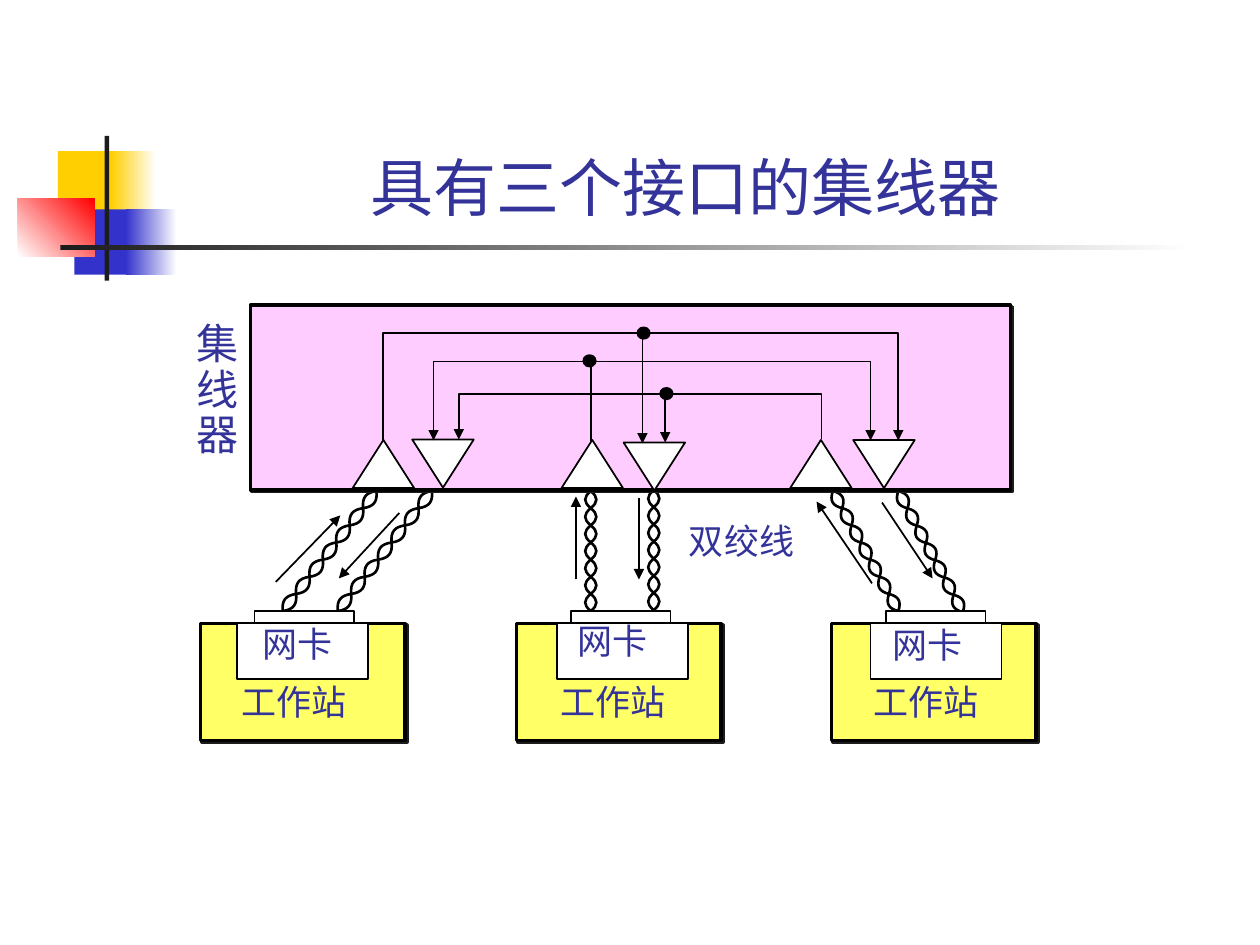
from math import hypot

from lxml.etree import SubElement
from pptx import Presentation
from pptx.dml.color import RGBColor
from pptx.enum.shapes import MSO_CONNECTOR, MSO_SHAPE as Preset
from pptx.enum.text import MSO_ANCHOR as Anchor, PP_ALIGN as Align
from pptx.oxml.ns import qn
from pptx.util import Cm, Pt

BLACK = RGBColor(0x00, 0x00, 0x00)
WHITE = RGBColor(0xFF, 0xFF, 0xFF)
INK = RGBColor(0x1C, 0x1C, 0x1C)
YELLOW = RGBColor(0xFF, 0xCF, 0x01)
BLUE = RGBColor(0x33, 0x33, 0xCC)
RED = RGBColor(0xFF, 0x00, 0x00)
TEXT_BLUE = RGBColor(0x33, 0x33, 0x99)
HUB_PINK = RGBColor(0xFF, 0xCC, 0xFF)
STATION_YELLOW = RGBColor(0xFF, 0xFF, 0x66)

presentation = Presentation()
presentation.slide_width, presentation.slide_height = Cm(25.4), Cm(19.05)
slide = presentation.slides.add_slide(presentation.slide_layouts[6])
shapes = slide.shapes


def add_preset(preset, box, fill, line_width=None, end_fill=None, angle=0, drop_shadow=False):
    """Add a shape; end_fill makes a gradient, drop_shadow a hard offset edge."""
    shape = shapes.add_shape(preset, *map(Cm, box))
    if end_fill is None:
        shape.fill.solid()
        shape.fill.fore_color.rgb = fill
    else:
        shape.fill.gradient()
        shape.fill.gradient_angle = angle
        for stop, color in zip(shape.fill.gradient_stops, (fill, end_fill)):
            stop.color.rgb = color
    if line_width is None:
        shape.line.fill.background()
    else:
        shape.line.color.rgb = BLACK
        shape.line.width = Pt(line_width)
    shape.shadow.inherit = False
    if drop_shadow:
        effects = shape.element.spPr.find(qn("a:effectLst"))
        shadow = SubElement(effects, qn("a:outerShdw"), dist=str(Pt(1.4)), dir="2700000", algn="ctr", rotWithShape="0")
        SubElement(shadow, qn("a:srgbClr"), val=str(INK))
    return shape


def add_text(text, box, size=20, font="Times New Roman", align=Align.LEFT,
             anchor=Anchor.TOP, wrap=False, line_spacing=1.0):
    frame = shapes.add_textbox(*map(Cm, box)).text_frame
    frame.word_wrap = wrap
    frame.vertical_anchor = anchor
    frame.text = text
    for paragraph in frame.paragraphs:
        paragraph.alignment = align
        paragraph.line_spacing = line_spacing
        paragraph.font.size = Pt(size)
        paragraph.font.name = font
        paragraph.font.color.rgb = TEXT_BLUE


# Corner decoration and title
for box, fill, end_fill, angle in [
    ((1.17, 3.05, 1.22, 1.32), YELLOW, None, 0),
    ((2.24, 3.05, 0.91, 1.32), YELLOW, WHITE, 0),
    ((1.5, 4.22, 1.17, 1.32), BLUE, None, 0),
    ((2.54, 4.22, 1.02, 1.32), BLUE, WHITE, 0),
    ((0.36, 4.01, 1.55, 1.17), WHITE, RED, 45),
    ((2.11, 2.74, 0.09, 2.92), INK, None, 0),
    ((1.22, 4.94, 22.86, 0.1), INK, WHITE, 0),
]:
    add_preset(Preset.RECTANGLE, box, fill, end_fill=end_fill, angle=angle)

add_text("具有三个接口的集线器", (3, 0.58, 21.64, 4.06), size=36, font="Arial",
         align=Align.CENTER, anchor=Anchor.BOTTOM, wrap=True)

# Twisted pairs: two opposite waves along each cable, one Bezier curve per half twist
HALF_TWISTS, CONTROL_HEIGHT = 7, 0.15
wires = []
for (x1, y1), (x2, y2) in [
    ((5.7, 12.32), (7.59, 9.9)),
    ((6.81, 12.32), (8.71, 9.9)),
    ((11.91, 12.32), (11.91, 9.9)),
    ((13.18, 12.3), (13.18, 9.88)),
    ((18.11, 12.32), (16.79, 9.9)),
    ((19.41, 12.34), (18.11, 9.9)),
]:
    length = hypot(x2 - x1, y2 - y1)
    for side in (-1, 1):
        points = []
        for twist in range(HALF_TWISTS):
            height = side * (-1) ** twist * CONTROL_HEIGHT / length
            for step, offset in [(0.36, height), (0.64, height), (1, 0)]:
                t = (twist + step) / HALF_TWISTS
                points.append((Cm(x1 + (x2 - x1) * t - (y2 - y1) * offset),
                               Cm(y1 + (y2 - y1) * t + (x2 - x1) * offset)))
        builder = shapes.build_freeform(Cm(x1), Cm(y1))
        builder.add_line_segments(points, close=False)
        strand = builder.convert_to_shape()
        strand.fill.background()
        outline = strand.element.find(".//" + qn("a:path"))
        segments = outline.findall(qn("a:lnTo"))
        for start in range(0, len(segments), 3):
            curve = SubElement(outline, qn("a:cubicBezTo"))
            for segment in segments[start:start + 3]:
                curve.append(segment[0])
                outline.remove(segment)
        wires.append((strand, 1.5, False))

# Hub with a sending and a receiving amplifier at each port
add_preset(Preset.RECTANGLE, (5.05, 6.15, 15.32, 3.73), HUB_PINK, 2, drop_shadow=True)
for up_left, down_left, down_top in [(7.11, 8.31, 8.86), (11.32, 12.57, 8.92), (15.93, 17.2, 8.87)]:
    add_preset(Preset.ISOSCELES_TRIANGLE, (up_left, 8.87, 1.24, 0.97), WHITE, 1)
    receiver = add_preset(Preset.ISOSCELES_TRIANGLE, (down_left, down_top, 1.24, 0.97), WHITE, 1)
    receiver.rotation = 180
add_text("集\n线\n器", (3.71, 6.4, 1.35, 3), size=24, line_spacing=0.9)

# Internal wiring, then the signal directions beside the cables
for route in [
    [(16.56, 8.86), (16.56, 7.95), (9.25, 7.95), (9.25, 8.86)],
    [(11.91, 8.9), (11.91, 7.29), (17.55, 7.29), (17.55, 8.88)],
    [(11.91, 7.29), (8.74, 7.29), (8.74, 8.88)],
    [(7.72, 8.9), (7.72, 6.71), (18.11, 6.71), (18.11, 8.88)],
    [(13.41, 7.98), (13.41, 8.92)],
    [(12.95, 6.76), (12.95, 8.94)],
    [(11.61, 11.68), (11.61, 10.01)],
    [(12.88, 10.03), (12.88, 11.68)],
    [(5.56, 11.73), (6.86, 10.39)],
    [(8.05, 10.34), (6.83, 11.66)],
    [(17.58, 11.76), (16.46, 10.11)],
    [(17.78, 10.13), (18.8, 11.66)],
]:
    points = [(Cm(x), Cm(y)) for x, y in route]
    if len(points) == 2:
        wire = shapes.add_connector(MSO_CONNECTOR.STRAIGHT, *points[0], *points[1])
    else:
        builder = shapes.build_freeform(*points[0])
        builder.add_line_segments(points[1:], close=False)
        wire = builder.convert_to_shape()
        wire.fill.background()
    wires.append((wire, 1, True))

for wire, width, has_arrow in wires:
    wire.line.color.rgb = BLACK
    wire.line.width = Pt(width)
    properties = wire.element.spPr
    if has_arrow:
        SubElement(properties.find(qn("a:ln")), qn("a:tailEnd"), type="triangle")
    SubElement(properties, qn("a:effectLst"))

for left, top in [(11.76, 7.16), (12.85, 6.6), (13.31, 7.82)]:
    add_preset(Preset.OVAL, (left, top, 0.25, 0.23), BLACK, 1)

# Workstations with their network cards
for station, card, plug, card_label, card_label_top, station_label in [
    (4.04, 4.78, 5.13, 5.05, 12.42, 4.62),
    (10.41, 11.23, 11.51, 11.4, 12.37, 11.05),
    (16.76, 17.55, 17.86, 17.75, 12.45, 17.35),
]:
    add_preset(Preset.RECTANGLE, (station, 12.57, 4.13, 2.36), STATION_YELLOW, 2, drop_shadow=True)
    add_preset(Preset.RECTANGLE, (card, 12.57, 2.64, 1.12), WHITE, 1)
    add_text("网卡", (card_label, card_label_top, 1.93, 1.09))
    add_text("工作站", (station_label, 13.59, 2.62, 1.09))
    add_preset(Preset.RECTANGLE, (plug, 12.32, 2.01, 0.23), WHITE, 1)

add_text("双绞线", (13.64, 10.34, 2.62, 1.09))

presentation.save("out.pptx")
